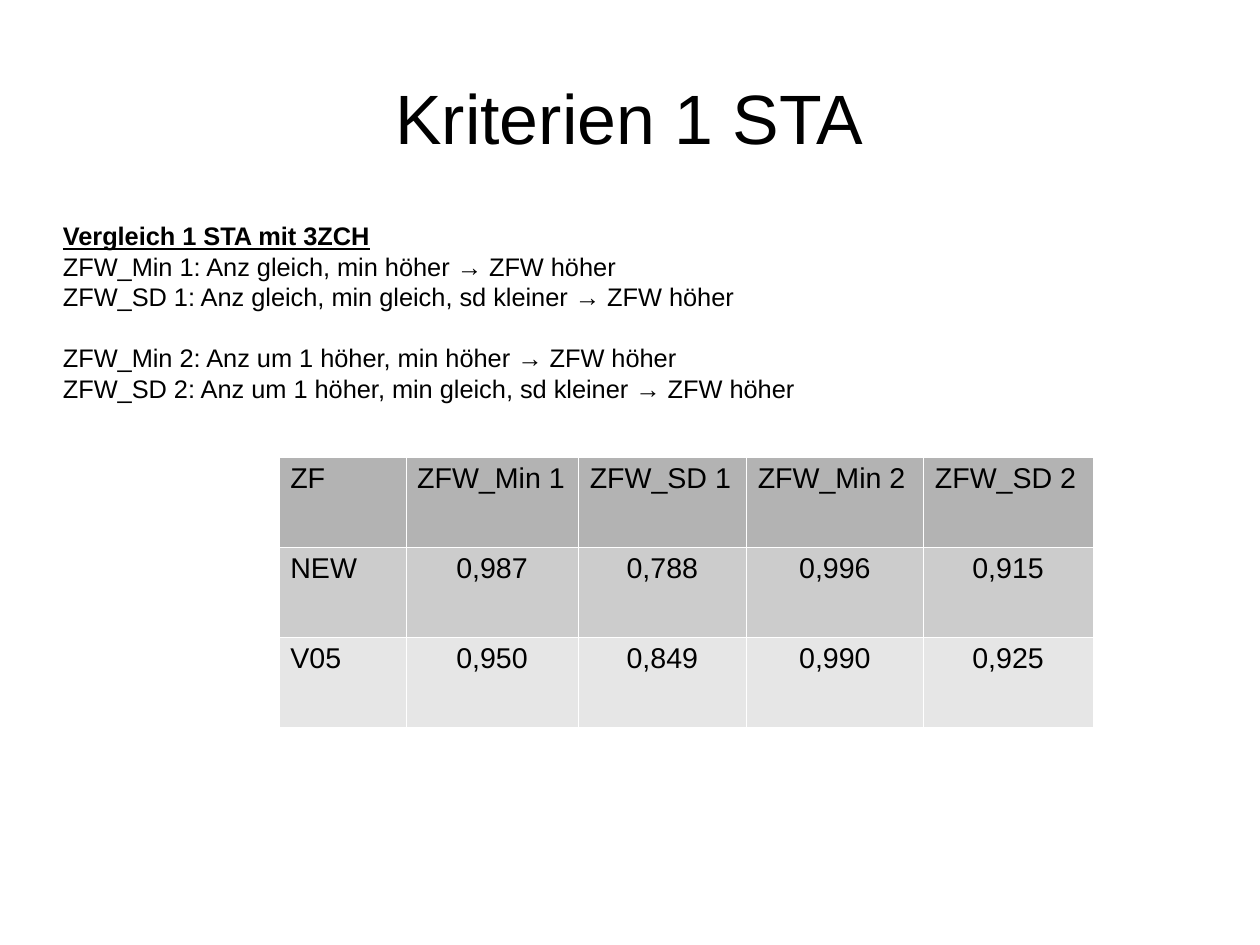
"""Build the slide that compares the STA criteria."""
import dataclasses

import pptx
import pptx.dml.color
import pptx.enum.text
import pptx.oxml
import pptx.oxml.ns
import pptx.slide
import pptx.table
import pptx.text.text
import pptx.util

Inches = pptx.util.Inches
Pt = pptx.util.Pt
RGBColor = pptx.dml.color.RGBColor
Align = pptx.enum.text.PP_ALIGN
Anchor = pptx.enum.text.MSO_ANCHOR

BLACK = RGBColor(0x00, 0x00, 0x00)
WHITE = RGBColor(0xFF, 0xFF, 0xFF)
DARK = RGBColor(0xB3, 0xB3, 0xB3)
MID = RGBColor(0xCC, 0xCC, 0xCC)
LIGHT = RGBColor(0xE6, 0xE6, 0xE6)
FONT = "Arial"
CM = 1 / 2.54
LEFT, WIDTH = 0.55, 9.92
COLS = (1.11, 1.51, 1.47, 1.55, 1.48)
HEIGHT = 2 * CM
BORDER = Pt(0.06)


@dataclasses.dataclass(frozen=True)
class Line:
    text: str
    head: bool = False
    gap: float = 0


@dataclasses.dataclass(frozen=True)
class Row:
    cells: tuple[str, ...]
    fill: RGBColor
    head: bool = False


LINES = (
    Line("Vergleich 1 STA mit 3ZCH", head=True),
    Line("ZFW_Min 1: Anz gleich, min höher → ZFW höher"),
    Line("ZFW_SD 1: Anz gleich, min gleich, sd kleiner → ZFW höher"),
    Line("ZFW_Min 2: Anz um 1 höher, min höher → ZFW höher", gap=19.2),
    Line("ZFW_SD 2: Anz um 1 höher, min gleich, sd kleiner → ZFW höher"),
)
ROWS = (
    Row(("ZF", "ZFW_Min 1", "ZFW_SD 1", "ZFW_Min 2", "ZFW_SD 2"), DARK, head=True),
    Row(("NEW", "0,987", "0,788", "0,996", "0,915"), MID),
    Row(("V05", "0,950", "0,849", "0,990", "0,925"), LIGHT),
)


def style(par: pptx.text.text._Paragraph, size: float, align: Align) -> None:
    par.alignment = align
    par.font.name = FONT
    par.font.size = Pt(size)
    par.font.color.rgb = BLACK


def clear(frame: pptx.text.text.TextFrame) -> None:
    frame.word_wrap = True
    frame.margin_left = frame.margin_right = 0
    frame.margin_top = frame.margin_bottom = 0


def add_title(slide: pptx.slide.Slide) -> None:
    title = slide.shapes.title
    title.left, title.top = Inches(LEFT), Inches(0.33)
    title.width, title.height = Inches(WIDTH), Inches(1.38)
    frame = title.text_frame
    clear(frame)
    frame.vertical_anchor = Anchor.MIDDLE
    frame.text = "Kriterien 1 STA"
    style(frame.paragraphs[0], 44, Align.CENTER)


def add_lines(slide: pptx.slide.Slide) -> None:
    box = slide.shapes.add_textbox(Inches(LEFT), Inches(1.93), Inches(WIDTH), Inches(4.79))
    frame = box.text_frame
    clear(frame)
    frame.text = "\n".join(line.text for line in LINES)
    for par, line in zip(frame.paragraphs, LINES):
        style(par, 16, Align.LEFT)
        par.font.bold = par.font.underline = line.head
        par.space_before = Pt(line.gap)


def edge(cell: pptx.table._Cell) -> None:
    props = cell._tc.get_or_add_tcPr()
    for side in "LRTB":
        props.append(pptx.oxml.parse_xml(
            f'<a:ln{side} {pptx.oxml.ns.nsdecls("a")} w="{BORDER}">'
            f'<a:solidFill><a:srgbClr val="{WHITE}"/></a:solidFill></a:ln{side}>'))


def add_table(slide: pptx.slide.Slide) -> None:
    table = slide.shapes.add_table(
        len(ROWS), len(COLS), Inches(2.44), Inches(4),
        Inches(sum(COLS)), Inches(HEIGHT * len(ROWS))).table
    table.first_row = table.horz_banding = False
    for col, width in zip(table.columns, COLS):
        col.width = Inches(width)
    for y, row in enumerate(ROWS):
        table.rows[y].height = Inches(HEIGHT)
        for x, text in enumerate(row.cells):
            cell = table.cell(y, x)
            cell.text = text
            edge(cell)
            cell.fill.solid()
            cell.fill.fore_color.rgb = row.fill
            align = Align.LEFT if row.head or x == 0 else Align.CENTER
            style(cell.text_frame.paragraphs[0], 18, align)


def main() -> None:
    deck = pptx.Presentation()
    deck.slide_width, deck.slide_height = Inches(28 * CM), Inches(21 * CM)
    slide = deck.slides.add_slide(deck.slide_layouts.get_by_name("Title Only"))
    add_title(slide)
    add_lines(slide)
    add_table(slide)
    deck.save("out.pptx")


if __name__ == "__main__":
    main()
